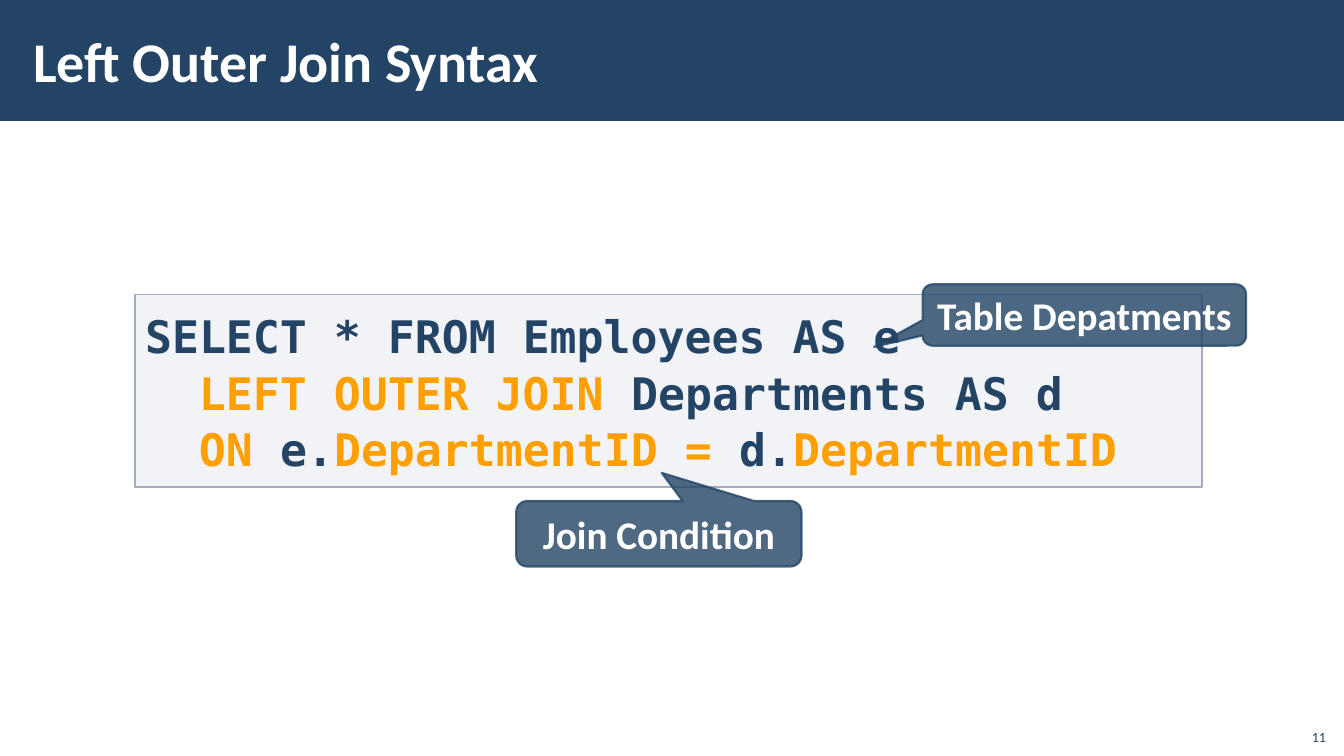
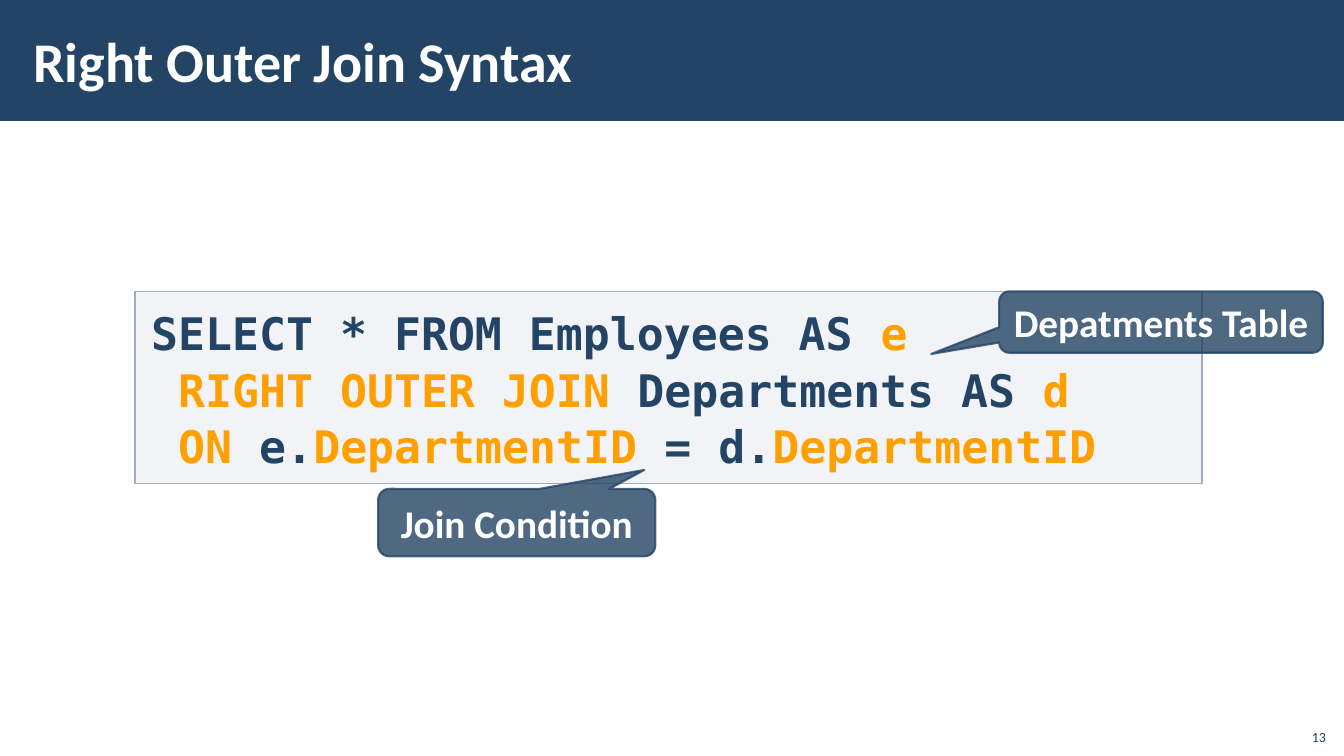
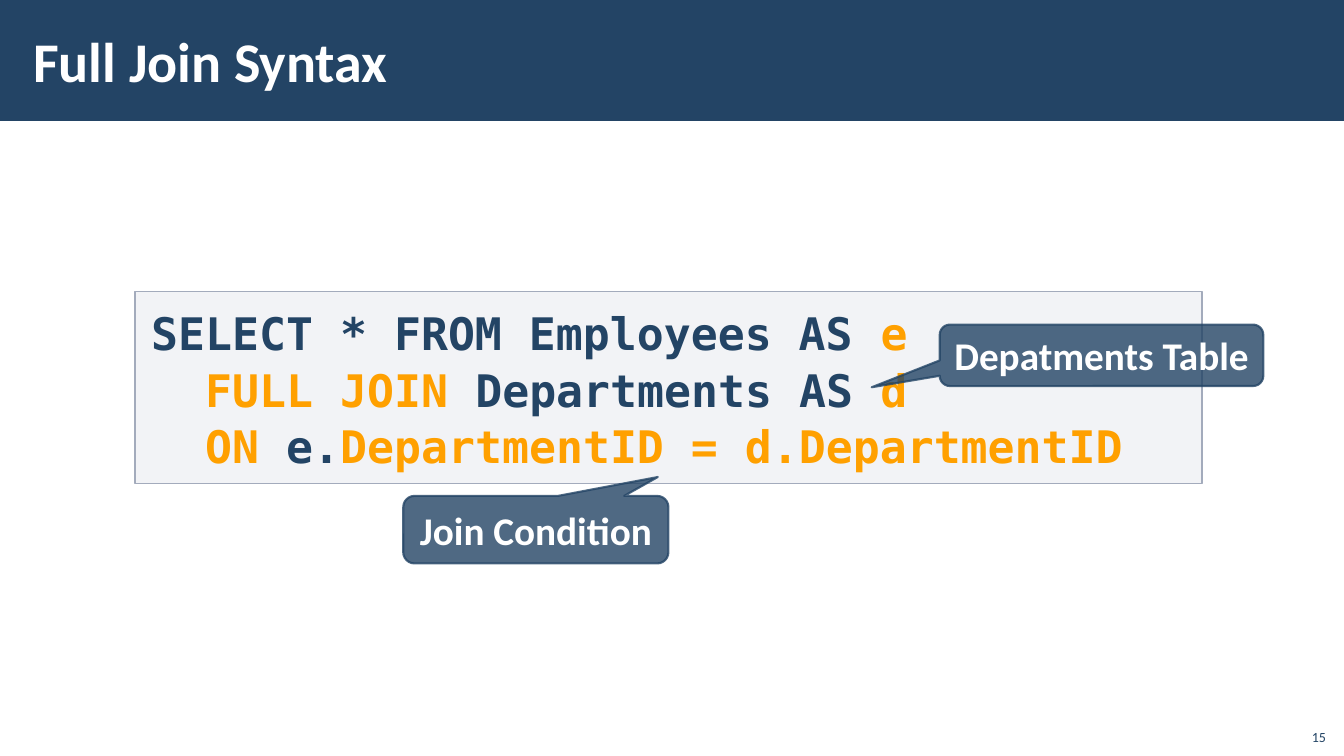
"""Three slides on the syntax of SQL outer joins."""
from lxml import etree
from pptx import Presentation
from pptx.dml.color import RGBColor
from pptx.enum.shapes import MSO_SHAPE as SHAPE
from pptx.enum.text import MSO_ANCHOR as ANCHOR, MSO_AUTO_SIZE as AUTO, PP_ALIGN as ALIGN
from pptx.oxml.ns import qn
from pptx.util import Inches, Pt

NAVY = RGBColor(0x23, 0x44, 0x65)
ORANGE = RGBColor(0xFF, 0xA0, 0x00)
WHITE = RGBColor(0xFF, 0xFF, 0xFF)
PANEL = RGBColor(0xC2, 0xC7, 0xD2)
PANEL_EDGE = RGBColor(0xA3, 0xAB, 0xBC)
SANS, MONO = "Calibri", "DejaVu Sans Mono"
WIDTH, HEIGHT = 13.33, 7.5
CODE_SIZE = 32
CODE_COLUMN = CODE_SIZE * 0.602 / 72

# Code lines are (indent in characters, text); every second part between bars is highlighted.
# Callouts are (text, left, top, width, height, pointer x, pointer y).
SLIDES = [
    {
        "title": "Left Outer Join Syntax",
        "number": 11,
        "panel_top": 2.92,
        "panel_insets": (0.1, 0),
        "code": [
            (0, "SELECT * FROM Employees AS e"),
            (2, "|LEFT OUTER JOIN |Departments AS d"),
            (2, "|ON |e.|DepartmentID = |d.|DepartmentID"),
        ],
        "callouts": [
            ("Table Depatments", 9.15, 2.82, 3.21, 0.61, -0.65, 0.52),
            ("Join Condition", 5.12, 4.97, 2.83, 0.65, 0.01, -0.93),
        ],
    },
    {
        "title": "Right Outer Join Syntax",
        "number": 13,
        "panel_top": 2.89,
        "panel_insets": (0.16, 0.16),
        "code": [
            (0, "SELECT * FROM Employees AS |e"),
            (1, "|RIGHT OUTER JOIN |Departments AS |d"),
            (1, "|ON |e.|DepartmentID |= d.|DepartmentID"),
        ],
        "callouts": [
            ("Depatments Table", 9.91, 2.89, 3.21, 0.61, -0.71, 0.52),
            ("Join Condition", 3.75, 4.85, 2.75, 0.67, 0.46, -0.78),
        ],
    },
    {
        "title": "Full Join Syntax",
        "number": 15,
        "panel_top": 2.89,
        "panel_insets": (0.16, 0.16),
        "code": [
            (0, "SELECT * FROM Employees AS |e"),
            (2, "|FULL JOIN |Departments AS |d"),
            (2, "|ON |e.|DepartmentID = d.DepartmentID"),
        ],
        "callouts": [
            ("Depatments Table", 9.32, 3.22, 3.21, 0.61, -0.71, 0.52),
            ("Join Condition", 4, 4.92, 2.63, 0.67, 0.46, -0.78),
        ],
    },
]


def box(*lengths):
    return [Inches(length) for length in lengths]


def set_font(font, name, size, color, bold=True):
    font.name, font.size, font.bold = name, Pt(size), bold
    font.color.rgb = color


def set_margins(frame, left, top, right, bottom):
    frame.margin_left, frame.margin_top, frame.margin_right, frame.margin_bottom = box(
        left, top, right, bottom)


def set_opacity(color_format_owner, percent):
    for color in color_format_owner.iter(qn("a:srgbClr")):
        etree.SubElement(color, qn("a:alpha"), val=str(percent * 1000))


def add_filled(slide, preset, place, fill, edge=None, edge_width=1):
    shape = slide.shapes.add_shape(preset, *box(*place))
    shape.shadow.inherit = False
    shape.fill.solid()
    shape.fill.fore_color.rgb = fill
    if edge is None:
        shape.line.fill.background()
    else:
        shape.line.color.rgb = edge
        shape.line.width = Pt(edge_width)
    return shape


def move_band_to_layout(slide):
    band = add_filled(slide, SHAPE.RECTANGLE, (0, 0, WIDTH, 1.2), NAVY)
    layout_title = slide.slide_layout.placeholders[0].element
    layout_title.addprevious(band.element)


def fill_title(slide, text):
    title = slide.shapes.title
    title.left, title.top, title.width, title.height = box(0.21, 0.11, 10.63, 0.97)
    frame = title.text_frame
    frame.text = text
    frame.auto_size = AUTO.NONE
    frame.vertical_anchor = ANCHOR.MIDDLE
    set_margins(frame, 0.12, 0.04, 0.12, 0.04)
    heading = frame.paragraphs[0]
    heading.alignment = ALIGN.LEFT
    set_font(heading.font, SANS, 40, WHITE)


def add_code(slide, top, insets, lines):
    panel = add_filled(slide, SHAPE.RECTANGLE, (1.34, top, 10.58, 1.91), PANEL, PANEL_EDGE)
    set_opacity(panel.element.spPr.find(qn("a:solidFill")), 20)
    frame = panel.text_frame
    frame.word_wrap = True
    frame.auto_size = AUTO.SHAPE_TO_FIT_TEXT
    frame.vertical_anchor = ANCHOR.TOP
    set_margins(frame, insets[0], 0.12, insets[1], 0.12)
    for row, (indent, text) in enumerate(lines):
        line = frame.add_paragraph() if row else frame.paragraphs[0]
        line.alignment = ALIGN.LEFT
        line.line_spacing = 1.05
        line._p.get_or_add_pPr().set("marL", str(Inches(indent * CODE_COLUMN)))
        set_font(line.font, MONO, CODE_SIZE, NAVY)
        for position, part in enumerate(text.split("|")):
            if part:
                run = line.add_run()
                run.text = part
                set_font(run.font, MONO, CODE_SIZE, ORANGE if position % 2 else NAVY)


def add_callout(slide, text, left, top, width, height, pointer_x, pointer_y):
    callout = add_filled(slide, SHAPE.ROUNDED_RECTANGULAR_CALLOUT,
                         (left, top, width, height), NAVY, NAVY, 1.5)
    callout.adjustments[0] = pointer_x
    callout.adjustments[1] = pointer_y
    set_opacity(callout.element.spPr, 80)
    frame = callout.text_frame
    frame.text = text
    frame.word_wrap = False
    frame.vertical_anchor = ANCHOR.MIDDLE
    label = frame.paragraphs[0]
    label.alignment = ALIGN.CENTER
    set_font(label.font, SANS, 28, WHITE)


def add_number(slide, number):
    frame = slide.shapes.add_textbox(*box(12.85, 7.12, 0.4, 0.32)).text_frame
    frame.text = str(number)
    frame.word_wrap = True
    frame.vertical_anchor = ANCHOR.BOTTOM
    page = frame.paragraphs[0]
    page.alignment = ALIGN.RIGHT
    set_font(page.font, SANS, 10, NAVY, bold=False)


def main():
    deck = Presentation()
    deck.slide_width, deck.slide_height = box(WIDTH, HEIGHT)
    title_only = deck.slide_layouts[5]
    for index, content in enumerate(SLIDES):
        slide = deck.slides.add_slide(title_only)
        if index == 0:
            move_band_to_layout(slide)
        fill_title(slide, content["title"])
        add_code(slide, content["panel_top"], content["panel_insets"], content["code"])
        for callout in content["callouts"]:
            add_callout(slide, *callout)
        add_number(slide, content["number"])
    deck.save("out.pptx")


if __name__ == "__main__":
    main()
